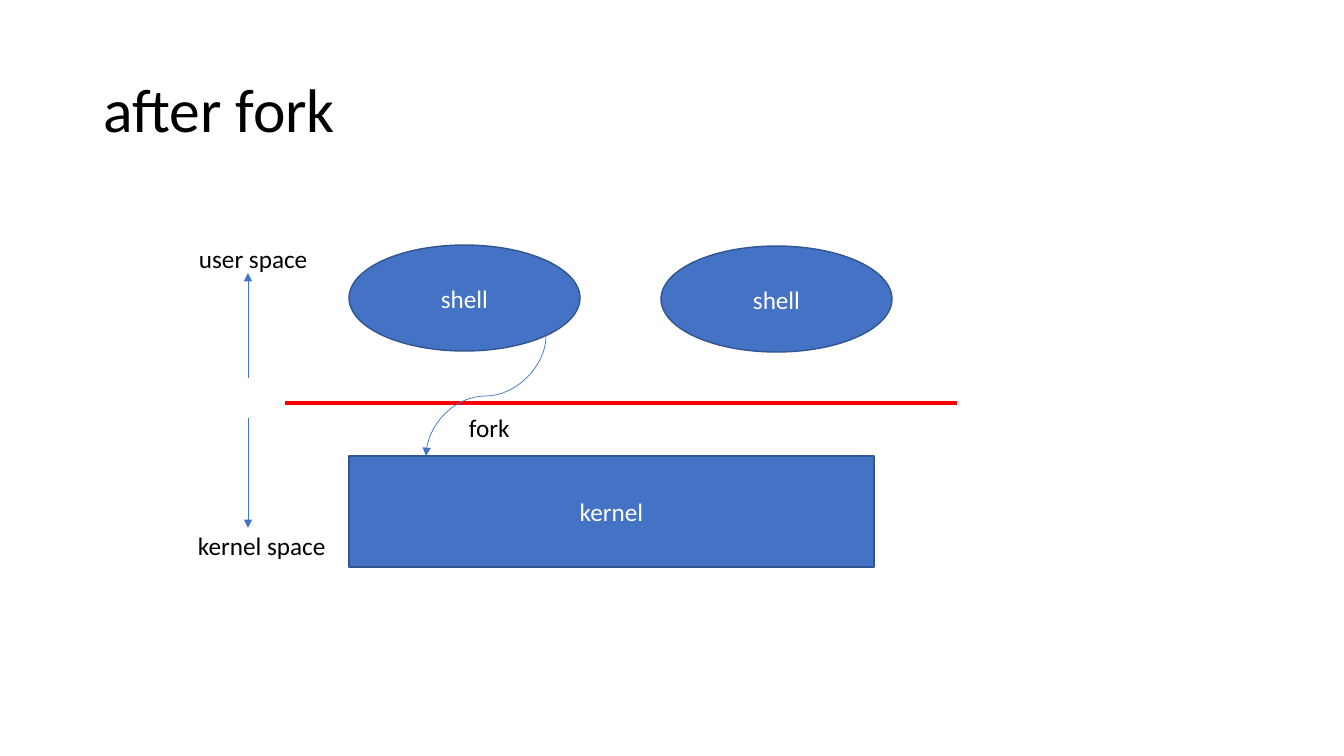
from pptx import Presentation
from pptx.dml.color import RGBColor
from pptx.enum.shapes import MSO_CONNECTOR, MSO_SHAPE
from pptx.enum.text import MSO_ANCHOR, MSO_AUTO_SIZE, PP_ALIGN
from pptx.oxml.ns import qn
from pptx.util import Pt
from lxml.etree import SubElement

PX = 914400 / 100.8
BLUE, OUTLINE, RED, BLACK, WHITE = "4472C4", "325491", "FF0000", "000000", "FFFFFF"


def px(*lengths):
    return [round(n * PX) for n in lengths]


def color(target, value):
    target.rgb = RGBColor.from_string(value)


def write(sp, text, size, value, align=PP_ALIGN.LEFT):
    tf = sp.text_frame
    tf.word_wrap = True
    p = tf.paragraphs[0]
    p.text = text
    p.alignment = align
    p.font.name = "Calibri"
    p.font.size = Pt(size)
    color(p.font.color, value)
    return tf


def add_label(s, text, x, y, w):
    sp = s.shapes.add_textbox(*px(x, y, w, 40))
    write(sp, text, 18, BLACK).auto_size = MSO_AUTO_SIZE.SHAPE_TO_FIT_TEXT


def add_block(s, kind, text, x, y, w, h):
    sp = s.shapes.add_shape(kind, *px(x, y, w, h))
    sp.shadow.inherit = False
    sp.fill.solid()
    color(sp.fill.fore_color, BLUE)
    color(sp.line.color, OUTLINE)
    sp.line.width = Pt(1)
    write(sp, text, 18, WHITE, PP_ALIGN.CENTER).vertical_anchor = MSO_ANCHOR.MIDDLE


def add_line(s, x1, y1, x2, y2, value=BLUE, width=0.5, arrow=True,
             kind=MSO_CONNECTOR.STRAIGHT):
    line = s.shapes.add_connector(kind, *px(x1, y1, x2, y2))
    color(line.line.color, value)
    line.line.width = Pt(width)
    if arrow:
        SubElement(line.line._get_or_add_ln(), qn("a:tailEnd"), type="triangle")
    SubElement(line._element.spPr, qn("a:effectLst"))
    return line


def add_title(s, x, y, w, h):
    title = s.shapes.title
    title.left, title.top, title.width, title.height = px(x, y, w, h)
    tf = write(title, "after fork", 44, BLACK)
    tf.auto_size = MSO_AUTO_SIZE.NONE
    tf.vertical_anchor = MSO_ANCHOR.MIDDLE
    tf.paragraphs[0].line_spacing = 0.9


def add_spaces(s, x, y):
    """Labels and arrows naming the two sides of the boundary."""
    add_line(s, x + 60, y + 180, x + 60, y + 290)
    add_line(s, x + 60, y + 140, x + 60, y + 35)
    add_label(s, "user space", x + 1, y, 206)
    add_label(s, "kernel space", x, y + 287, 206)


def add_processes(s, x, y):
    """Two shells above the boundary, the kernel below it."""
    add_line(s, x - 64, y + 158, x + 608, y + 158, RED, 3, arrow=False)
    for dx, dy in ((0, 0), (312, 1)):
        add_block(s, MSO_SHAPE.OVAL, "shell", x + dx, y + dy, 231, 106)
    add_block(s, MSO_SHAPE.RECTANGLE, "kernel", x, y + 211, 525, 111)
    # System call: a quarter turn makes the curve run downwards
    call = add_line(s, x + 77, y + 91, x + 197, y + 211, kind=MSO_CONNECTOR.CURVE)
    call._element.spPr.find(qn("a:xfrm")).set("rot", "5400000")
    add_label(s, "fork", x + 110, y + 162, 273)


def main():
    prs = Presentation()
    prs.slide_width, prs.slide_height = px(1344, 756)
    s = prs.slides.add_slide(prs.slide_layouts[5])
    add_title(s, 93, 40, 1159, 146)
    add_processes(s, 349, 245)
    add_spaces(s, 188, 238)
    prs.save("out.pptx")


if __name__ == "__main__":
    main()
